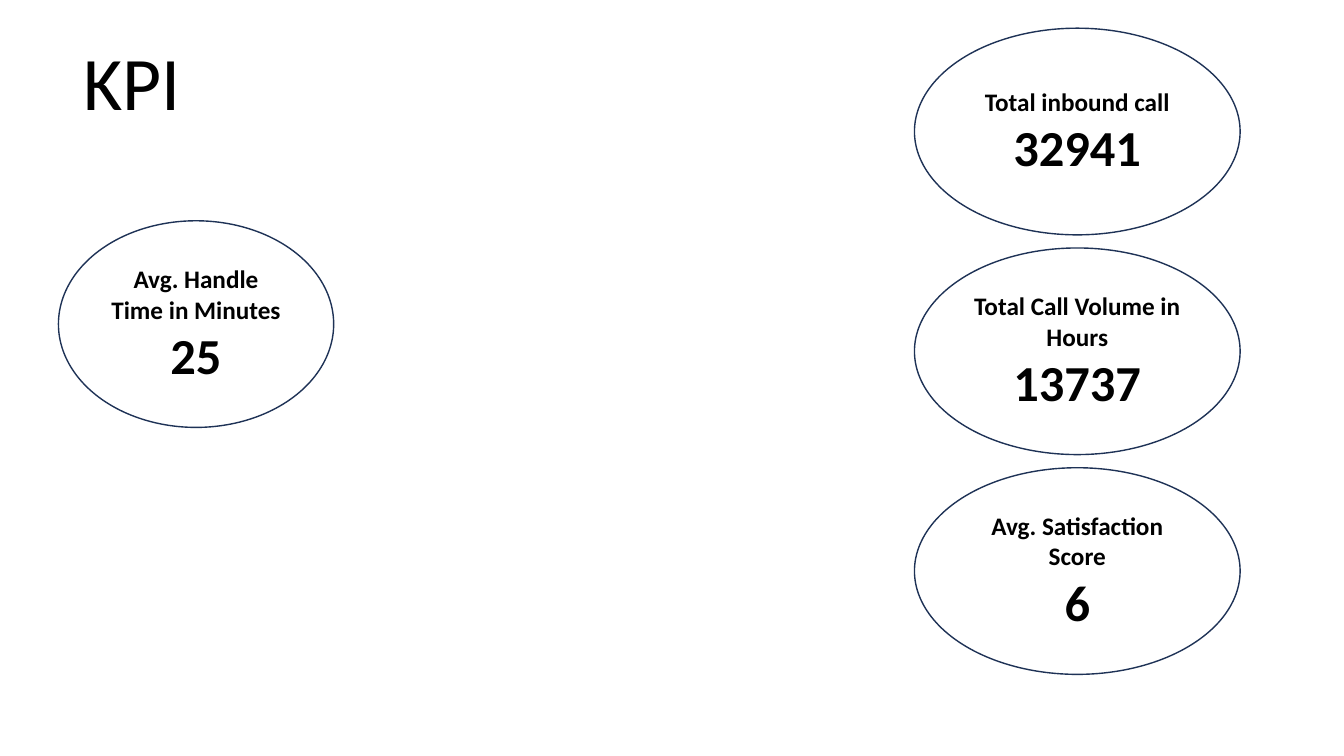
"""Build the KPI slide with four key figures in ellipses."""
from dataclasses import dataclass

from pptx import Presentation
from pptx import util as u
from pptx.dml.color import RGBColor
from pptx.enum import shapes, text


@dataclass(frozen=True)
class Theme:
    font: str = "Calibri"
    ink: RGBColor = RGBColor(0x00, 0x00, 0x00)
    outline: RGBColor = RGBColor(0x1E, 0x32, 0x56)
    title_size: int = 54
    label_size: int = 18
    value_size: int = 36


def style_paragraph(paragraph, size, bold):
    paragraph.alignment = text.PP_ALIGN.CENTER
    paragraph.font.name = theme.font
    paragraph.font.size = u.Pt(size)
    paragraph.font.bold = bold
    paragraph.font.color.rgb = theme.ink


theme = Theme()
presentation = Presentation()
presentation.slide_width = u.Inches(13.33)
presentation.slide_height = u.Inches(7.5)
slide = presentation.slides.add_slide(presentation.slide_layouts[5])

title = slide.shapes.title
title.left, title.top = u.Inches(0.35), u.Inches(0.29)
title.width, title.height = u.Inches(1.92), u.Inches(1.01)
title.text_frame.text = "KPI"
title.text_frame.auto_size = text.MSO_AUTO_SIZE.NONE
title.text_frame.vertical_anchor = text.MSO_ANCHOR.MIDDLE
style_paragraph(title.text_frame.paragraphs[0], theme.title_size, False)

column_left, column_width = 9.07, 3.23
first_top, row_pitch, ellipse_height = 0.28, 2.18, 2.05
column_figures = [
    ("Total inbound call", "32941"),
    ("Total Call Volume in Hours", "13737"),
    ("Avg. Satisfaction Score", "6"),
]
figures = [
    (column_left, first_top + row * row_pitch, column_width, label, value)
    for row, (label, value) in enumerate(column_figures)
]
figures.append((0.58, 2.19, 2.73, "Avg. Handle Time in Minutes", "25"))

for left, top, width, label, value in figures:
    ellipse = slide.shapes.add_shape(
        shapes.MSO_SHAPE.OVAL,
        u.Inches(left), u.Inches(top), u.Inches(width), u.Inches(ellipse_height),
    )
    ellipse.shadow.inherit = False
    ellipse.fill.background()
    ellipse.line.color.rgb = theme.outline
    ellipse.line.width = u.Pt(1)
    frame = ellipse.text_frame
    frame.word_wrap = True
    frame.vertical_anchor = text.MSO_ANCHOR.MIDDLE
    frame.text = f"{label}\n{value}"
    for paragraph, size in zip(frame.paragraphs, (theme.label_size, theme.value_size)):
        style_paragraph(paragraph, size, True)

presentation.save("out.pptx")
